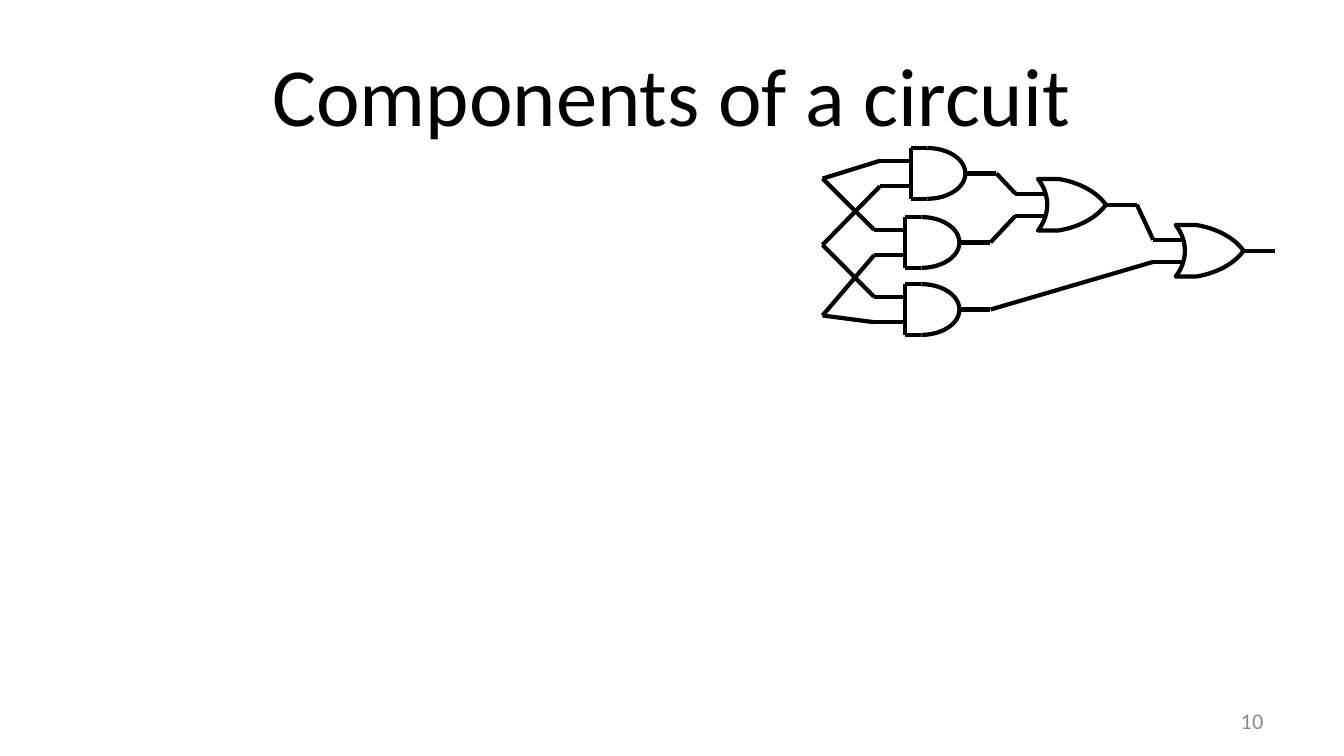
from dataclasses import dataclass
from typing import Any

from lxml.etree import SubElement
from pptx import Presentation
from pptx.dml.color import RGBColor
from pptx.enum.shapes import MSO_CONNECTOR as CONN, MSO_SHAPE as SHAPE
from pptx.enum.text import MSO_ANCHOR as ANCHOR, MSO_AUTO_SIZE as AUTO, PP_ALIGN as ALIGN
from pptx.oxml.ns import qn
from pptx.util import Cm, Pt

BLACK = RGBColor(0x00, 0x00, 0x00)
GREY = RGBColor(0x8C, 0x8C, 0x8C)
LINE_WIDTH = Pt(3)
LEAD = 0.78
CURVE_STEPS = 16

AND_STUB, AND_RX, AND_RY, AND_PIN = 0.41, 0.96, 0.64, 0.32
OR_WIDTH, OR_HALF, OR_SHOULDER, OR_PIN, OR_INSET = 1.71, 0.65, 0.51, 0.28, 0.21
QUARTERS = ((162, 0), (0, 54))

Point = tuple[float, float]


@dataclass(frozen=True)
class Gate:
    kind: str
    x: float
    mid: float

    @property
    def pin_x(self) -> float:
        return self.x if self.kind == "and" else self.x + OR_INSET

    @property
    def tip(self) -> Point:
        width = AND_STUB + AND_RX if self.kind == "and" else OR_WIDTH
        return self.x + width, self.mid

    @property
    def output(self) -> Point:
        return self.tip[0] + LEAD, self.mid

    @property
    def inputs(self) -> tuple[Point, Point]:
        pin = AND_PIN if self.kind == "and" else OR_PIN
        left = self.pin_x - LEAD
        return (left, self.mid - pin), (left, self.mid + pin)


@dataclass(frozen=True)
class Wire:
    start: Point
    end: Point


def style_line(line: Any) -> None:
    line.color.rgb = BLACK
    line.width = LINE_WIDTH


def draw_wire(shapes: Any, wire: Wire) -> None:
    ends = [Cm(v) for v in (*wire.start, *wire.end)]
    c = shapes.add_connector(CONN.STRAIGHT, *ends)
    style_line(c.line)
    SubElement(c._element.spPr, qn("a:effectLst"))


def style_outline(sp: Any) -> None:
    sp.shadow.inherit = False
    sp.fill.background()
    style_line(sp.line)


def bezier(a: Point, b: Point, c: Point, d: Point) -> list[Point]:
    points = []
    for i in range(1, CURVE_STEPS + 1):
        t = i / CURVE_STEPS
        u = 1 - t
        weights = (u ** 3, 3 * u * u * t, 3 * u * t * t, t ** 3)
        points.append(tuple(sum(w * p[k] for w, p in zip(weights, (a, b, c, d)))
                            for k in (0, 1)))
    return points


def draw_and_body(shapes: Any, gate: Gate) -> None:
    top, bottom = gate.mid - AND_RY, gate.mid + AND_RY
    shoulder = gate.x + AND_STUB
    for angles in QUARTERS:
        sp = shapes.add_shape(SHAPE.ARC, Cm(shoulder - AND_RX), Cm(top),
                              Cm(2 * AND_RX), Cm(2 * AND_RY))
        for i, angle in enumerate(angles):
            sp.adjustments[i] = angle
        style_outline(sp)
    for y in (top, bottom):
        draw_wire(shapes, Wire((shoulder, y), (gate.x, y)))
    draw_wire(shapes, Wire((gate.x, top), (gate.x, bottom)))


def draw_or_body(shapes: Any, gate: Gate) -> None:
    tip = (OR_WIDTH, 0)
    low, high = (OR_SHOULDER, OR_HALF), (OR_SHOULDER, -OR_HALF)
    outline = [
        *bezier(tip, (1.5, 0.3), (1.07, 0.56), low),
        (0, OR_HALF),
        *bezier((0, OR_HALF), (0.31, 0.25), (0.31, -0.25), (0, -OR_HALF)),
        high,
        *bezier(high, (1.07, -0.56), (1.5, -0.3), tip),
    ]
    points = [(Cm(gate.x + x), Cm(gate.mid + y)) for x, y in outline]
    builder = shapes.build_freeform(Cm(gate.tip[0]), Cm(gate.mid))
    builder.add_line_segments(points, close=True)
    style_outline(builder.convert_to_shape())


def draw_gate(shapes: Any, gate: Gate) -> None:
    group = shapes.add_group_shape().shapes
    draw_body = draw_and_body if gate.kind == "and" else draw_or_body
    draw_body(group, gate)
    for pin in gate.inputs:
        draw_wire(group, Wire(pin, (gate.pin_x, pin[1])))
    draw_wire(group, Wire(gate.tip, gate.output))


def set_text(sp: Any, text: str, align: ALIGN, size: int, color: RGBColor) -> None:
    tf = sp.text_frame
    frame_format = {
        "word_wrap": True, "auto_size": AUTO.NONE, "vertical_anchor": ANCHOR.MIDDLE,
        "margin_left": Cm(0.33), "margin_right": Cm(0.33),
        "margin_top": Cm(0.17), "margin_bottom": Cm(0.17),
    }
    for name, value in frame_format.items():
        setattr(tf, name, value)
    p = tf.paragraphs[0]
    p.alignment = align
    r = p.add_run()
    r.text = text
    for name, value in {"name": "Calibri", "size": Pt(size)}.items():
        setattr(r.font, name, value)
    r.font.color.rgb = color


def main() -> None:
    prs = Presentation()
    prs.slide_width, prs.slide_height = Cm(33.87), Cm(19.05)
    slide = prs.slides.add_slide(prs.slide_layouts[5])
    shapes = slide.shapes

    title = shapes.title
    place = {"left": 1.69, "top": 0.76, "width": 30.48, "height": 3.18}
    for name, value in place.items():
        setattr(title, name, Cm(value))
    set_text(title, "Components of a circuit", ALIGN.CENTER, 59, BLACK)
    number = shapes.add_textbox(Cm(24.27), Cm(17.66), Cm(7.9), Cm(1.01))
    set_text(number, "10", ALIGN.RIGHT, 16, GREY)

    and_top = Gate("and", 22.96, 4.37)
    and_middle = Gate("and", 22.81, 6.11)
    and_bottom = Gate("and", 22.81, 7.8)
    or_first = Gate("or", 26.16, 5.16)
    or_last = Gate("or", 29.63, 6.32)
    a, b, c = [(20.73, y) for y in (4.5, 6.17, 7.95)]

    wires = [
        Wire(a, and_top.inputs[0]), Wire(b, and_top.inputs[1]),
        Wire(a, and_middle.inputs[0]), Wire(c, and_middle.inputs[1]),
        Wire(b, and_bottom.inputs[0]), Wire(c, and_bottom.inputs[1]),
        Wire(and_top.output, or_first.inputs[0]),
        Wire(and_middle.output, or_first.inputs[1]),
        Wire(or_first.output, or_last.inputs[0]),
        Wire(and_bottom.output, or_last.inputs[1]),
    ]
    for gate in (and_top, and_middle, and_bottom, or_first, or_last):
        draw_gate(shapes, gate)
    for wire in wires:
        draw_wire(shapes, wire)

    prs.save("out.pptx")


if __name__ == "__main__":
    main()
